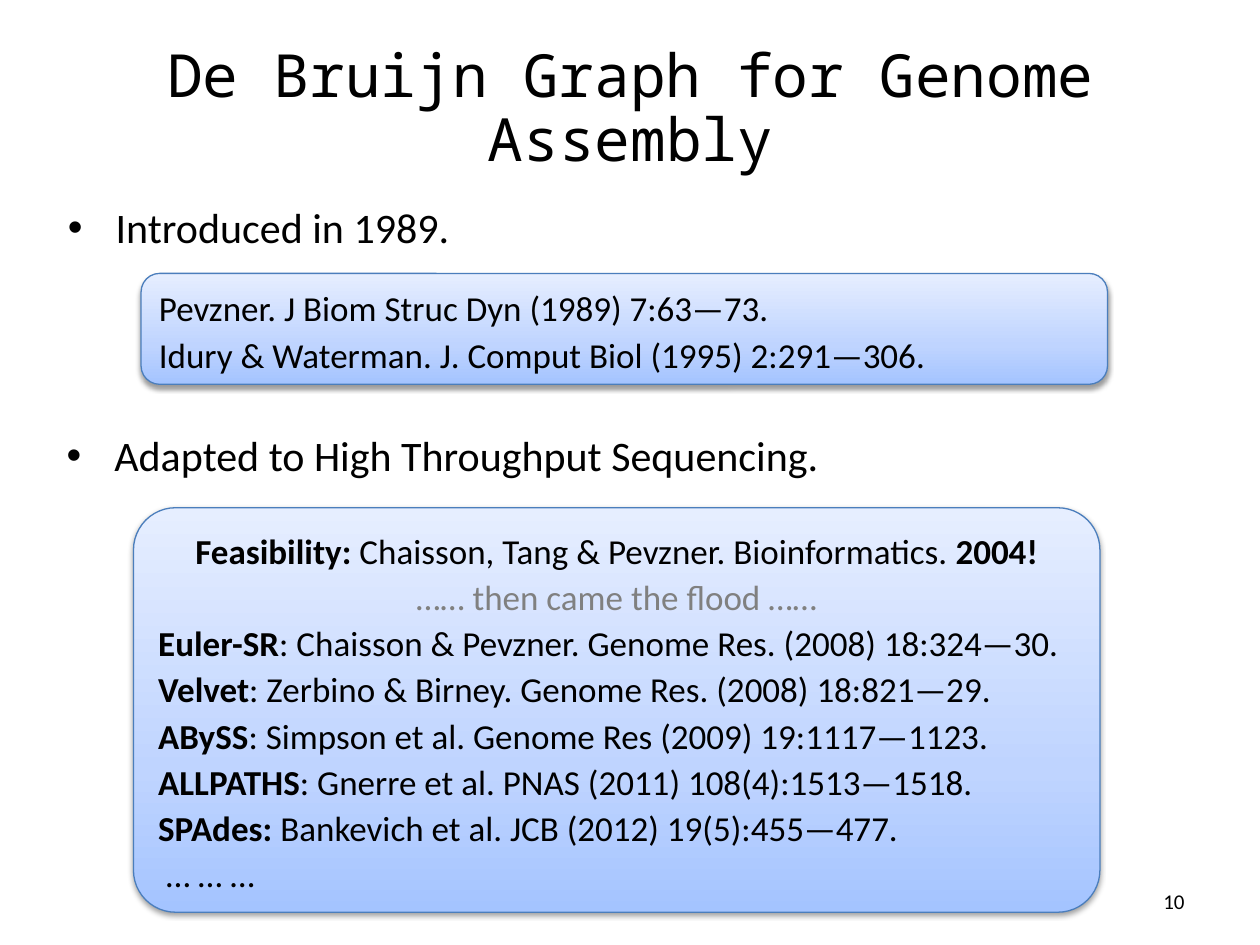
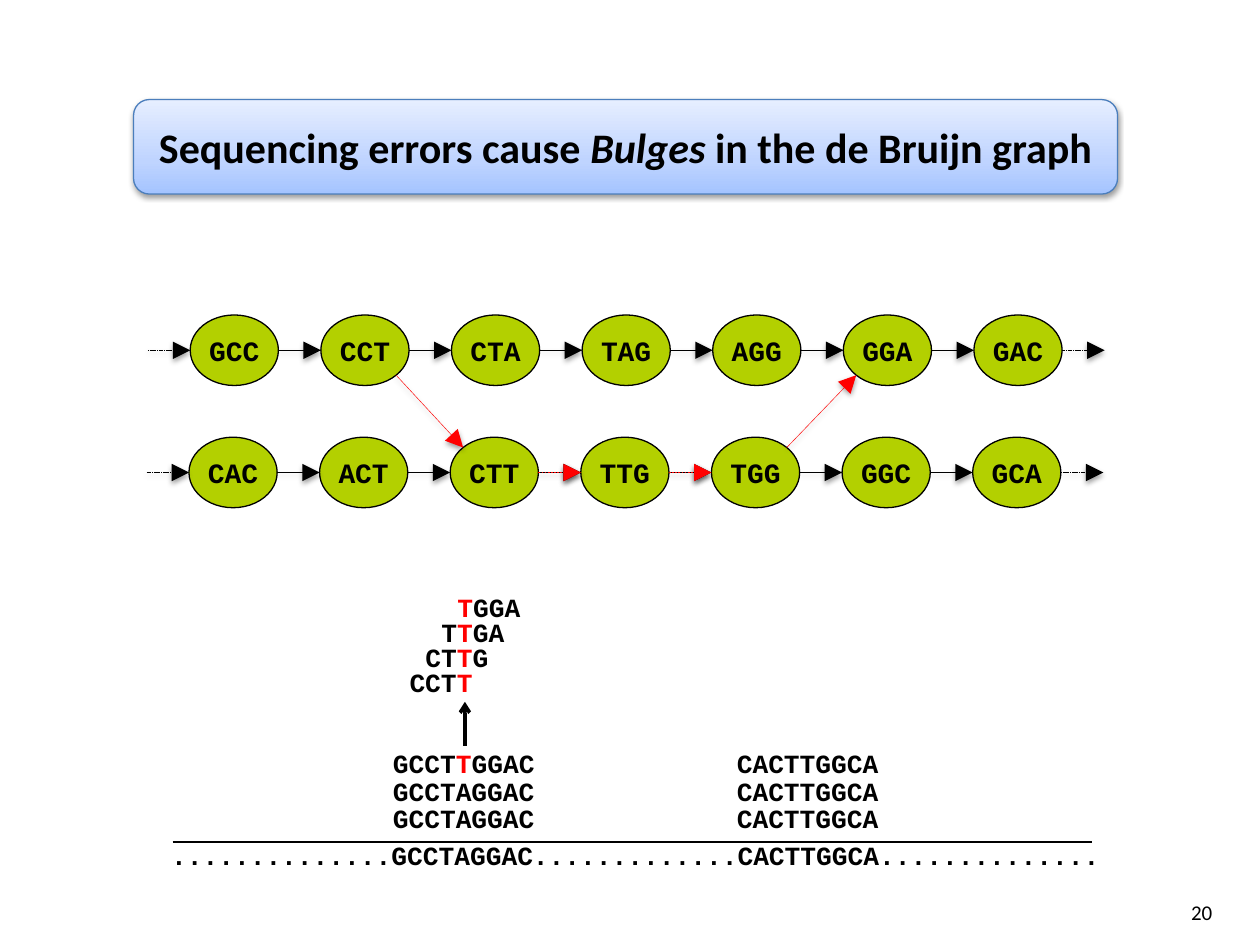
from math import sqrt

from lxml import etree
from copy import deepcopy
from pptx import Presentation
from pptx import util as u
from pptx.dml.color import RGBColor
from pptx.enum import dml, shapes, text
from pptx.oxml import ns

Inches, Pt = u.Inches, u.Pt
ALIGN, ANCHOR = text.PP_ALIGN, text.MSO_ANCHOR
DASH = dml.MSO_LINE_DASH_STYLE

BLACK = RGBColor(0x00, 0x00, 0x00)
GRAY = RGBColor(0x80, 0x80, 0x80)
RED = RGBColor(0xFF, 0x00, 0x00)
LIME = RGBColor(0xB3, 0xD0, 0x00)
PANEL_EDGE = RGBColor(0x4B, 0x7E, 0xBC)
PANEL_STOPS = [(0, RGBColor(0xA4, 0xC4, 0xFF)),
               (0.35, RGBColor(0xBF, 0xD4, 0xFF)),
               (1, RGBColor(0xE6, 0xEE, 0xFF))]

BODY_FONT, TITLE_FONT, CODE_FONT = "Calibri", "Noto Sans Mono", "Courier New"

NODE_WIDTH, NODE_HEIGHT = 0.7, 0.56
NODE_PITCH = 6.22 / 6
EDGE_LENGTH = NODE_PITCH - NODE_WIDTH


# Shared helpers

def write(frame, paragraphs, size=20, font=BODY_FONT, color=BLACK, bold=False,
          align=ALIGN.LEFT, anchor=ANCHOR.TOP, spacing=None):
    """Fill a frame; a paragraph is a list of (words, changes) spans."""
    frame.word_wrap = True
    frame.vertical_anchor = anchor
    for number, spans in enumerate(paragraphs):
        para = frame.paragraphs[0] if number == 0 else frame.add_paragraph()
        para.alignment = align
        if spacing:
            para.line_spacing = spacing
        for words, changes in spans:
            span = para.add_run()
            span.text = words
            span.font.name = font
            span.font.size = Pt(size)
            span.font.bold = changes.get("bold", bold)
            span.font.italic = changes.get("italic", False)
            span.font.color.rgb = changes.get("color", color)


def add_text(page, box, paragraphs, **style):
    label = page.shapes.add_textbox(*map(Inches, box))
    write(label.text_frame, paragraphs, **style)
    return label


def add_effects(item, shadow):
    """Give a shape or connector its own effect list, with or without a shadow."""
    effects = etree.SubElement(item._element.spPr, ns.qn("a:effectLst"))
    if shadow:
        outer = etree.SubElement(effects, ns.qn("a:outerShdw"), blurRad=str(Pt(3.1)),
                                 dist=str(Pt(1.6)), dir="5400000", rotWithShape="0")
        tint = etree.SubElement(outer, ns.qn("a:srgbClr"), val="000000")
        etree.SubElement(tint, ns.qn("a:alpha"), val="38000")


def add_line(page, start, end, color=BLACK, width=0.25, dash=None,
             head=None, head_size="med", shadow=False):
    line = page.shapes.add_connector(shapes.MSO_CONNECTOR.STRAIGHT,
                                     *map(Inches, (*start, *end)))
    line.line.color.rgb = color
    line.line.width = Pt(width)
    if dash:
        line.line.dash_style = dash
    if head:
        etree.SubElement(line.line._get_or_add_ln(), ns.qn("a:tailEnd"),
                         type=head, w=head_size, len=head_size)
    add_effects(line, shadow)


def add_edge(page, start, end, **style):
    add_line(page, start, end, head="triangle", head_size="lg", shadow=True, **style)


def add_panel(page, box, paragraphs, corner=None, **style):
    """Rounded blue gradient panel with text."""
    panel = page.shapes.add_shape(shapes.MSO_SHAPE.ROUNDED_RECTANGLE,
                                  *map(Inches, box))
    if corner:
        panel.adjustments[0] = corner
    panel.fill.gradient()
    panel.fill.gradient_angle = 90
    stop_list = panel._element.spPr.find(".//" + ns.qn("a:gsLst"))
    stop_list.append(deepcopy(stop_list[0]))
    for stop, (position, color) in zip(panel.fill.gradient_stops, PANEL_STOPS):
        stop.position = position
        stop.color.rgb = color
    panel.line.color.rgb = PANEL_EDGE
    panel.line.width = Pt(0.75)
    add_effects(panel, shadow=True)
    write(panel.text_frame, paragraphs, anchor=ANCHOR.MIDDLE, **style)
    return panel


def add_bullet(page, box, words):
    label = add_text(page, box, [[(words, {})]], size=24)
    para = label.text_frame.paragraphs[0]
    para.space_before = Pt(5)
    settings = para._p.get_or_add_pPr()
    settings.set("marL", str(Inches(0.38)))
    settings.set("indent", str(Inches(-0.38)))
    etree.SubElement(settings, ns.qn("a:buFont"), typeface="Arial")
    etree.SubElement(settings, ns.qn("a:buChar"), char="•")


def add_page_number(page, left, top, number):
    add_text(page, (left, top, 2.33, 0.4), [[(number, {})]], size=12,
             align=ALIGN.RIGHT, anchor=ANCHOR.MIDDLE)


# Slide 1: history of the method

def build_history(page):
    add_text(page, (0.41, 0.25, 9.19, 1.25),
             [[("De Bruijn Graph for Genome Assembly", {})]], size=34,
             font=TITLE_FONT, align=ALIGN.CENTER, anchor=ANCHOR.MIDDLE, spacing=0.9)
    add_bullet(page, (0.44, 1.55, 9, 0.68), "Introduced in 1989.")
    add_panel(page, (1.12, 2.17, 7.67, 0.88), [
        [("Pevzner. J Biom Struc Dyn (1989) 7:63—73.", {})],
        [("Idury & Waterman. J. Comput Biol (1995) 2:291—306.", {})],
    ], spacing=1.1)

    add_bullet(page, (0.43, 3.36, 9, 0.62), "Adapted to High Throughput Sequencing.")
    strong = {"bold": True}
    assemblers = [
        ("Euler-SR", ": Chaisson & Pevzner. Genome Res. (2008) 18:324—30."),
        ("Velvet", ": Zerbino & Birney. Genome Res. (2008) 18:821—29."),
        ("ABySS", ": Simpson et al. Genome Res (2009) 19:1117—1123."),
        ("ALLPATHS", ": Gnerre et al. PNAS (2011) 108(4):1513—1518."),
        ("SPAdes: ", "Bankevich et al. JCB (2012) 19(5):455—477."),
    ]
    papers = add_panel(page, (1.06, 4.03, 7.67, 3.21), [
        [("Feasibility: ", strong),
         ("Chaisson, Tang & Pevzner. Bioinformatics. ", {}), ("2004!", strong)],
        [("…… then came the flood ……", {"color": GRAY})],
        *[[(name, strong), (citation, {})] for name, citation in assemblers],
        [(" … … …", {})],
    ], corner=0.104, spacing=1.1)
    for para in papers.text_frame.paragraphs[:2]:
        para.alignment = ALIGN.CENTER
    add_page_number(page, 7.17, 6.95, "10")


# Slide 2: bulges caused by sequencing errors

def add_node_row(page, left, top, names):
    """Chain of k-mer nodes, with dashed edges leading in and out."""
    middle = top + NODE_HEIGHT / 2
    for number, name in enumerate(names):
        x = left + number * NODE_PITCH
        node = page.shapes.add_shape(
            shapes.MSO_SHAPE.OVAL, *map(Inches, (x, top, NODE_WIDTH, NODE_HEIGHT)))
        node.fill.solid()
        node.fill.fore_color.rgb = LIME
        node.line.color.rgb = BLACK
        node.line.width = Pt(0.75)
        node.shadow.inherit = False
        frame = node.text_frame
        frame.margin_left = frame.margin_right = 0
        frame.margin_top = frame.margin_bottom = 0
        write(frame, [[(name, {})]], size=16, font=CODE_FONT, bold=True,
              align=ALIGN.CENTER, anchor=ANCHOR.MIDDLE)
    for number in range(len(names) + 1):
        end = left + number * NODE_PITCH
        outer = number in (0, len(names))
        add_edge(page, (end - EDGE_LENGTH, middle), (end, middle),
                 dash=DASH.SQUARE_DOT if outer else None)


def node_corner(left, top, number, right, down):
    """Point on a node's outline on the diagonal; right and down are 1 or -1."""
    return (left + number * NODE_PITCH + NODE_WIDTH / 2 * (1 + right / sqrt(2)),
            top + NODE_HEIGHT / 2 * (1 + down / sqrt(2)))


def add_graph(page, left, top):
    upper, lower = (left + 0.01, top), (left, top + 0.97)
    add_node_row(page, *upper, ["GCC", "CCT", "CTA", "TAG", "AGG", "GGA", "GAC"])
    add_node_row(page, *lower, ["CAC", "ACT", "CTT", "TTG", "TGG", "GGC", "GCA"])
    # The erroneous path
    add_edge(page, node_corner(*upper, 1, 1, 1), node_corner(*lower, 2, -1, -1),
             color=RED)
    add_edge(page, node_corner(*lower, 4, 1, -1), node_corner(*upper, 5, -1, 1),
             color=RED)
    middle = lower[1] + NODE_HEIGHT / 2
    for number in (3, 4):
        end = left + number * NODE_PITCH
        add_edge(page, (end - EDGE_LENGTH, middle), (end, middle),
                 color=RED, dash=DASH.DASH)


def add_read(page, left, top, width, bases, error=None, align=ALIGN.CENTER):
    """One sequence; the base at index error is red."""
    spans = [(bases, {})]
    if error is not None:
        spans = [(bases[:error], {}), (bases[error], {"color": RED}),
                 (bases[error + 1:], {})]
    add_text(page, (left, top, width, 0.35), [[span for span in spans if span[0]]],
             size=15, font=CODE_FONT, bold=True, align=align)


def add_alignment(page, left, top):
    # K-mers that contain the error
    for number, bases in enumerate(["CCTT", "CTTG", "TTGA", "TGGA"]):
        add_read(page, left + 1.83 + number * 0.38 / 3, top + 0.6 - number * 0.2,
                 0.82, bases, error=3 - number)
    add_line(page, (left + 2.43, top + 1.28), (left + 2.43, top + 0.93),
             width=2, head="arrow")
    # Reads stacked over the genome
    for number in range(3):
        y = top + 1.24 + number * 0.22
        if number == 0:
            add_read(page, left + 1.61, y, 1.62, "GCCTTGGAC", error=4)
        else:
            add_read(page, left + 1.61, y, 1.62, "GCCTAGGAC")
        add_read(page, left + 4.34, y, 1.62, "CACTTGGCA")
    add_line(page, (left + 0.11, top + 2.04), (left + 7.41, top + 2.04), width=1)
    add_read(page, left, top + 1.97, 7.71,
             "..............GCCTAGGAC.............CACTTGGCA..............",
             align=ALIGN.LEFT)


def build_bulges(page):
    add_panel(page, (1.06, 0.79, 7.81, 0.75), [[
        ("Sequencing errors cause ", {}), ("Bulges", {"italic": True}),
        (" in the de Bruijn graph", {})]],
        size=24, bold=True, align=ALIGN.CENTER)
    add_graph(page, 1.5, 2.5)
    add_alignment(page, 1.26, 4.64)
    add_page_number(page, 7.39, 7.04, "20")


def main():
    deck = Presentation()
    deck.slide_width, deck.slide_height = Inches(10), Inches(7.5)
    for build in (build_history, build_bulges):
        build(deck.slides.add_slide(deck.slide_layouts[6]))
    deck.save("out.pptx")


if __name__ == "__main__":
    main()
